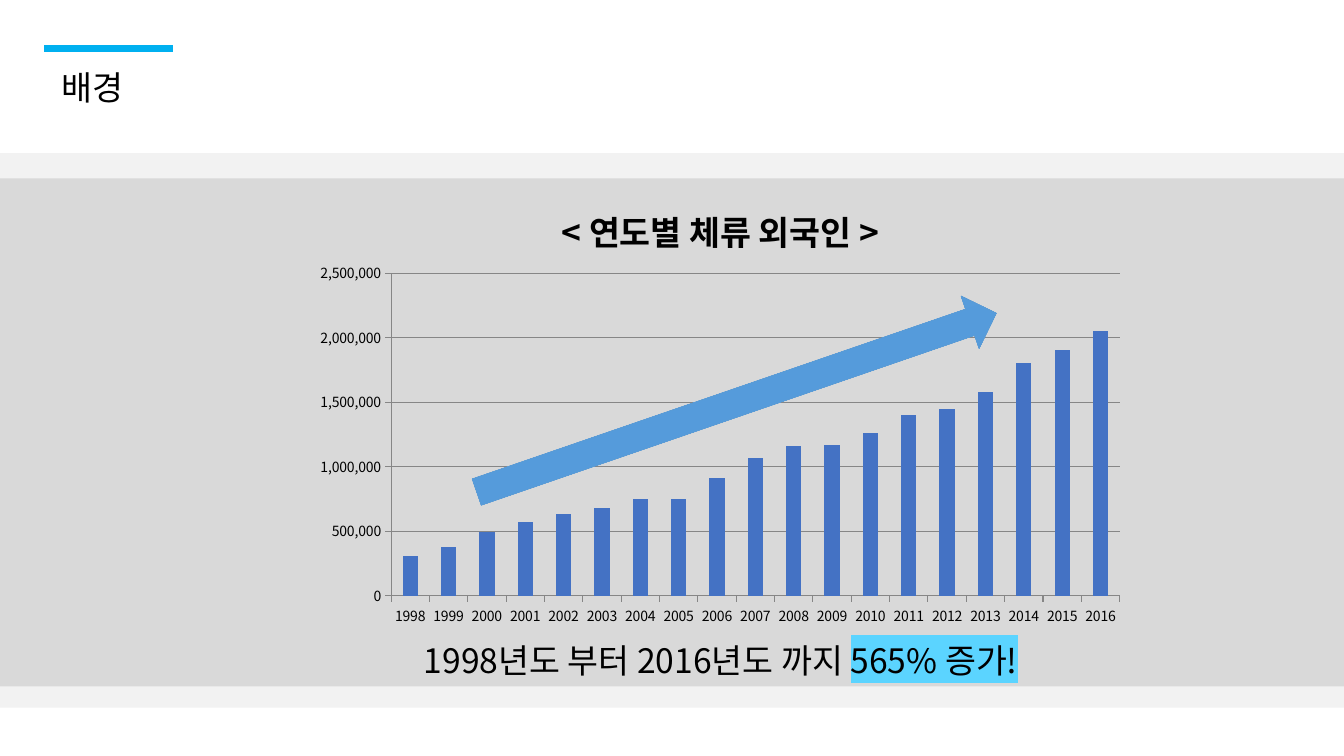
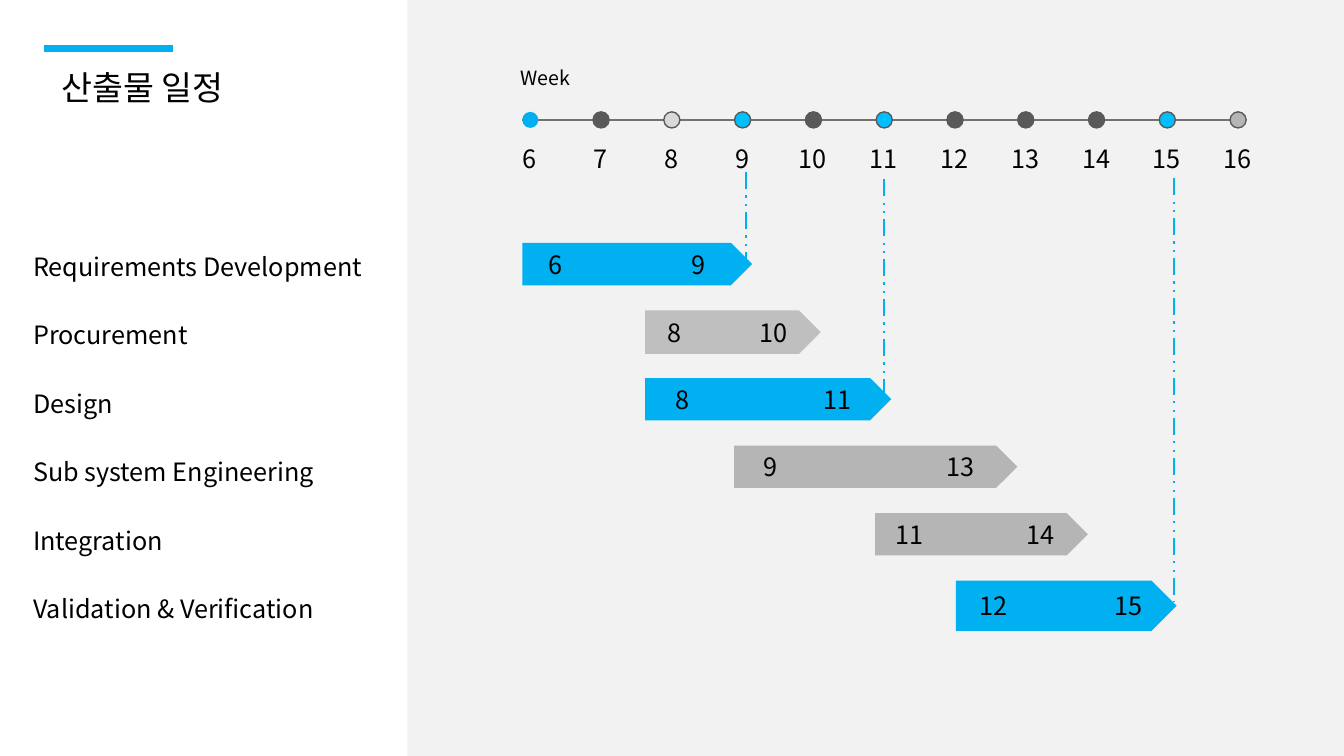
from lxml import etree
from pptx import Presentation
from pptx.chart.data import CategoryChartData
from pptx.dml.color import RGBColor
from pptx.enum.chart import XL_CHART_TYPE, XL_TICK_MARK
from pptx.enum.dml import MSO_LINE
from pptx.enum.shapes import MSO_CONNECTOR, MSO_SHAPE
from pptx.enum.text import MSO_ANCHOR, MSO_AUTO_SIZE, PP_ALIGN
from pptx.oxml.ns import qn
from pptx.util import Inches, Pt

FONT = "Noto Sans CJK KR"
COLORS = {
    "black": "000000", "accent": "00B0F0", "milestone": "00BFFF",
    "panel": "F2F2F2", "band": "D9D9D9", "dark": "595959",
    "gray": "B5B5B5", "light_gray": "BFBFBF", "rule": "767171",
    "column": "4472C4", "axis": "868686", "highlight": "5BD4FF",
    "arrow": "5B9BD5",
}
ARROW_STOPS = [(0, "71A6DB"), (50, "559BDB"), (100, "448ACA")]
YEARS = range(1998, 2017)
RESIDENTS = [
    310000, 380000, 490000, 570000, 630000, 680000, 750000, 750000, 910000,
    1070000, 1160000, 1170000, 1260000, 1400000, 1450000, 1580000, 1800000,
    1900000, 2050000,
]
TASKS = [
    "Requirements Development", "Procurement", "Design",
    "Sub system Engineering", "Integration", "Validation & Verification",
]
DOTS = [
    ("accent", None), ("dark", "dark"), ("band", "dark"),
    ("milestone", "dark"), ("dark", "dark"), ("milestone", "dark"),
    ("dark", "dark"), ("dark", "dark"), ("dark", "dark"),
    ("milestone", "dark"), ("gray", "dark"),
]
BARS = [
    ("accent", 1.14, 2.28, 0.42, (6, 0.33), (9, 1.75)),
    ("light_gray", 2.36, 1.74, 0.43, (8, 0.29), (10, 1.28)),
    ("accent", 2.36, 2.44, 0.42, (8, 0.37), (11, 1.91)),
    ("gray", 3.24, 2.81, 0.42, (9, 0.37), (13, 2.25)),
    ("gray", 4.64, 2.11, 0.42, (11, 0.35), (14, 1.64)),
    ("accent", 5.44, 2.19, 0.5, (12, 0.38), (15, 1.72)),
]
DEADLINES = [(3.36, 1.71, 2.66), (4.73, 1.78, 3.94), (7.6, 1.77, 5.97)]


def color(name):
    return RGBColor.from_string(COLORS.get(name, name))


def assign(target, values):
    for key, value in values.items():
        setattr(target, key, value)


def set_font(font, size, bold=False):
    assign(font, {"size": Pt(size), "name": FONT, "bold": bold})
    font.color.rgb = color("black")


def add_box(s, kind, box, fill, line=None, width=1):
    sp = s.shapes.add_shape(kind, *map(Inches, box))
    sp.shadow.inherit = False
    sp.fill.solid()
    sp.fill.fore_color.rgb = color(fill)
    if line:
        sp.line.color.rgb = color(line)
        sp.line.width = Pt(width)
    else:
        sp.line.fill.background()
    return sp


def add_line(s, x1, y1, x2, y2, stroke, width, dash=None):
    line = s.shapes.add_connector(
        MSO_CONNECTOR.STRAIGHT, *map(Inches, (x1, y1, x2, y2)))
    line.line.color.rgb = color(stroke)
    assign(line.line, {"width": Pt(width), "dash_style": dash})
    etree.SubElement(line._element.spPr, qn("a:effectLst"))


def add_run(p, text, size, highlight=None):
    r = p.add_run()
    r.text = text
    r.font.color.rgb = color("black")
    props = r._r.get_or_add_rPr()
    if highlight:
        mark = etree.SubElement(props, qn("a:highlight"))
        etree.SubElement(mark, qn("a:srgbClr"), val=COLORS[highlight])
    set_font(r.font, size)
    etree.SubElement(props, qn("a:ea"), typeface=FONT)


def add_text(s, box, runs, size, align=PP_ALIGN.LEFT):
    tf = s.shapes.add_textbox(*map(Inches, box)).text_frame
    assign(tf, {
        "word_wrap": True,
        "auto_size": MSO_AUTO_SIZE.SHAPE_TO_FIT_TEXT,
        "vertical_anchor": MSO_ANCHOR.TOP,
    })
    p = tf.paragraphs[0]
    p.alignment = align
    for text, highlight in runs:
        add_run(p, text, size, highlight)


def add_label(s, center, top, text):
    box = (center - 0.28, top, 0.55, 0.4)
    add_text(s, box, [(str(text), None)], 18, PP_ALIGN.CENTER)


def add_title(s, text):
    add_line(s, 0.44, 0.48, 1.72, 0.48, "accent", 5)
    add_text(s, (0.51, 0.61, 3.53, 0.5), [(text, None)], 24)


def add_column_chart(s, box):
    data = CategoryChartData(number_format="#,##0")
    data.categories = [str(year) for year in YEARS]
    data.add_series("Series 1", RESIDENTS)
    chart = s.shapes.add_chart(
        XL_CHART_TYPE.COLUMN_CLUSTERED, *map(Inches, box), data).chart
    set_font(chart.font, 10)
    chart.has_legend = False
    chart.has_title = True
    title = chart.chart_title
    title.include_in_layout = False
    add_run(title.text_frame.paragraphs[0], "< 연도별 체류 외국인 >", 24)
    title.text_frame.paragraphs[0].runs[0].font.bold = True
    plot = chart.plots[0]
    assign(plot, {"gap_width": 150, "vary_by_categories": False})
    fill = plot.series[0].format.fill
    fill.solid()
    fill.fore_color.rgb = color("column")
    for axis in (chart.category_axis, chart.value_axis):
        assign(axis, {"major_tick_mark": XL_TICK_MARK.OUTSIDE,
                      "minor_tick_mark": XL_TICK_MARK.NONE})
        axis.format.line.color.rgb = color("axis")
        set_font(axis.tick_labels.font, 10)
    value_axis = chart.value_axis
    assign(value_axis, {"minimum_scale": 0, "maximum_scale": 2500000,
                        "major_unit": 500000, "has_major_gridlines": True})
    assign(value_axis.tick_labels, {"number_format": "#,##0",
                                    "number_format_is_linked": False})
    value_axis.major_gridlines.format.line.color.rgb = color("axis")
    set_plot_area(chart, {"x": 0.105, "y": 0.2, "w": 0.874, "h": 0.711})


def set_plot_area(chart, place):
    area = chart._chartSpace.chart.plotArea
    for old in area.findall(qn("c:layout")):
        area.remove(old)
    layout = etree.Element(qn("c:layout"))
    area.insert(0, layout)
    manual = etree.SubElement(layout, qn("c:manualLayout"))
    values = {"layoutTarget": "inner", "xMode": "edge", "yMode": "edge"}
    for key, value in {**values, **place}.items():
        etree.SubElement(manual, qn(f"c:{key}"), val=str(value))


def add_trend_arrow(s, box):
    arrow = add_box(s, MSO_SHAPE.RIGHT_ARROW, box, "arrow", "arrow", 0.5)
    arrow.rotation = 341
    arrow.fill.gradient()
    arrow.fill.gradient_angle = 270
    stops = arrow._element.spPr.find(qn("a:gradFill")).find(qn("a:gsLst"))
    for old in list(stops):
        stops.remove(old)
    for position, value in ARROW_STOPS:
        stop = etree.SubElement(stops, qn("a:gs"), pos=str(position * 1000))
        etree.SubElement(stop, qn("a:srgbClr"), val=value)


def add_growth_panel(s, box):
    x, y, w, h = box
    add_box(s, MSO_SHAPE.RECTANGLE, box, "panel")
    add_box(s, MSO_SHAPE.RECTANGLE, (x, y + 0.25, w, h - 0.46), "band")
    add_column_chart(s, (x + 3.01, y + 0.29, 8.27, 4.5))
    runs = [("1998년도 부터 2016년도 까지 ", None), ("565% 증가!", "highlight")]
    add_text(s, (x + 3.22, y + 4.78, 7.86, 0.5), runs, 24, PP_ALIGN.CENTER)
    add_trend_arrow(s, (x + 4.58, y + 2.2, 5.45, 0.55))


def add_task_list(s, box):
    x, y, w, h = box
    for i, task in enumerate(TASKS):
        row = (x, y + i * h / len(TASKS), w, 0.4)
        add_text(s, row, [(task, None)], 18)


def add_week_scale(s, box):
    x, y, w, h = box
    size = 0.16
    step = (w - size) / (len(DOTS) - 1)
    add_text(s, (x - 0.12, y - 0.5, 0.82, 0.34), [("Week", None)], 14)
    add_line(s, x, y + size / 2, x + w, y + size / 2, "rule", 1.5)
    for i, (fill, line) in enumerate(DOTS):
        left = x + i * step
        add_box(s, MSO_SHAPE.OVAL, (left, y, size, size), fill, line)
        add_label(s, left + size / 2, y + h, 6 + i)


def add_schedule(s, box):
    x, y, w, h = box
    add_box(s, MSO_SHAPE.RECTANGLE, box, "panel")
    add_week_scale(s, (x + 1.14, y + 1.11, 7.18, 0.26))
    for i, (fill, left, width, height, *weeks) in enumerate(BARS):
        top = y + 2.41 + 0.67 * i
        bar = (x + left, top, width, height)
        add_box(s, MSO_SHAPE.PENTAGON, bar, fill)
        for week, offset in weeks:
            add_label(s, x + left + offset, top + (height - 0.4) / 2, week)
    for left, top, bottom in DEADLINES:
        add_line(s, x + left, y + top, x + left, y + bottom,
                 "accent", 1.5, MSO_LINE.DASH_DOT_DOT)


def add_background_slide(prs):
    s = prs.slides.add_slide(prs.slide_layouts[6])
    add_growth_panel(s, (0, 1.52, 13.33, 5.5))
    add_title(s, "배경")


def add_schedule_slide(prs):
    s = prs.slides.add_slide(prs.slide_layouts[6])
    add_schedule(s, (4.04, 0, 9.29, 7.5))
    add_task_list(s, (0.23, 2.44, 4.15, 4.08))
    add_title(s, "산출물 일정")


def main():
    prs = Presentation()
    assign(prs, {"slide_width": Inches(13.33), "slide_height": Inches(7.5)})
    add_background_slide(prs)
    add_schedule_slide(prs)
    prs.save("out.pptx")


if __name__ == "__main__":
    main()
